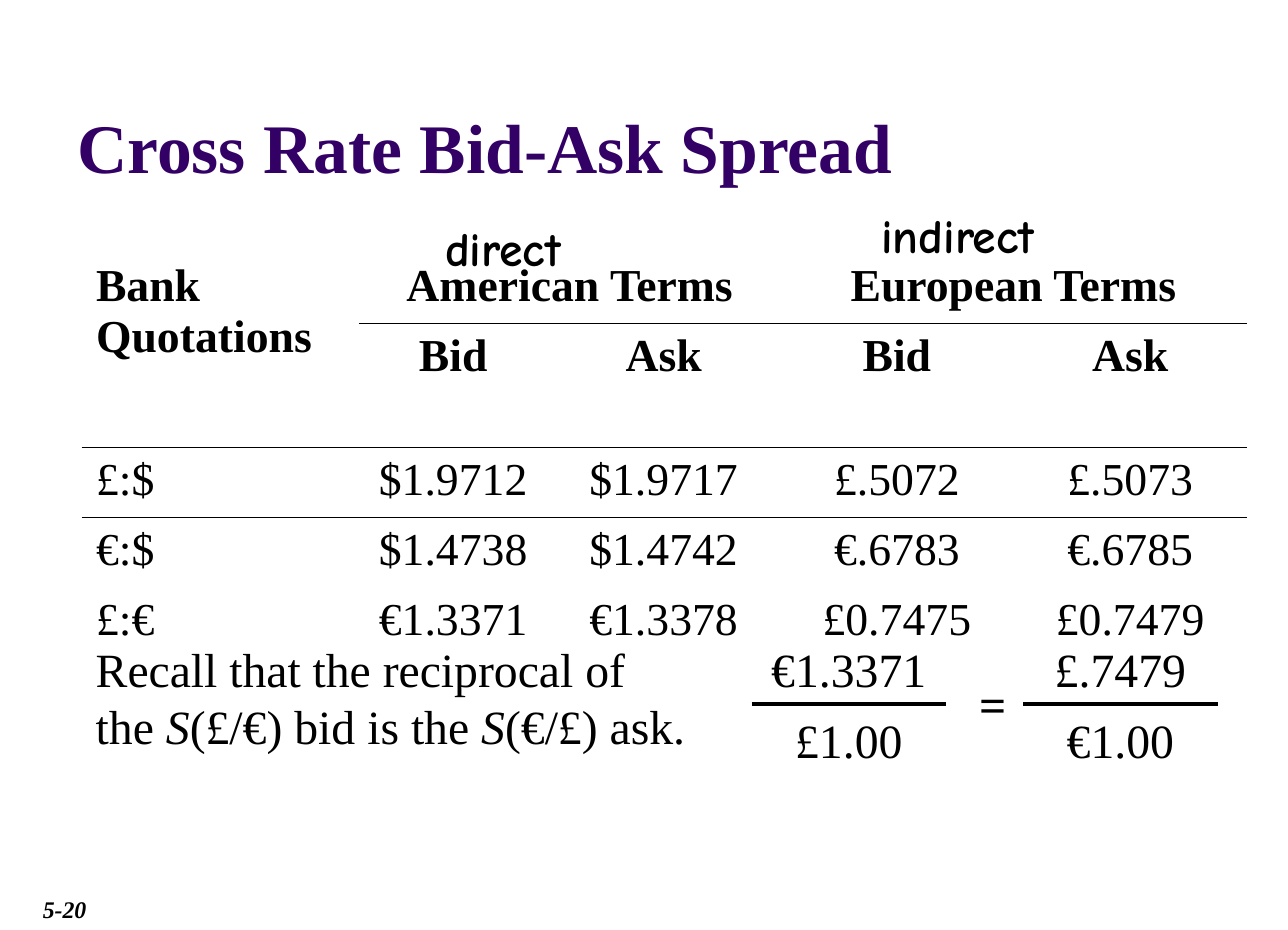
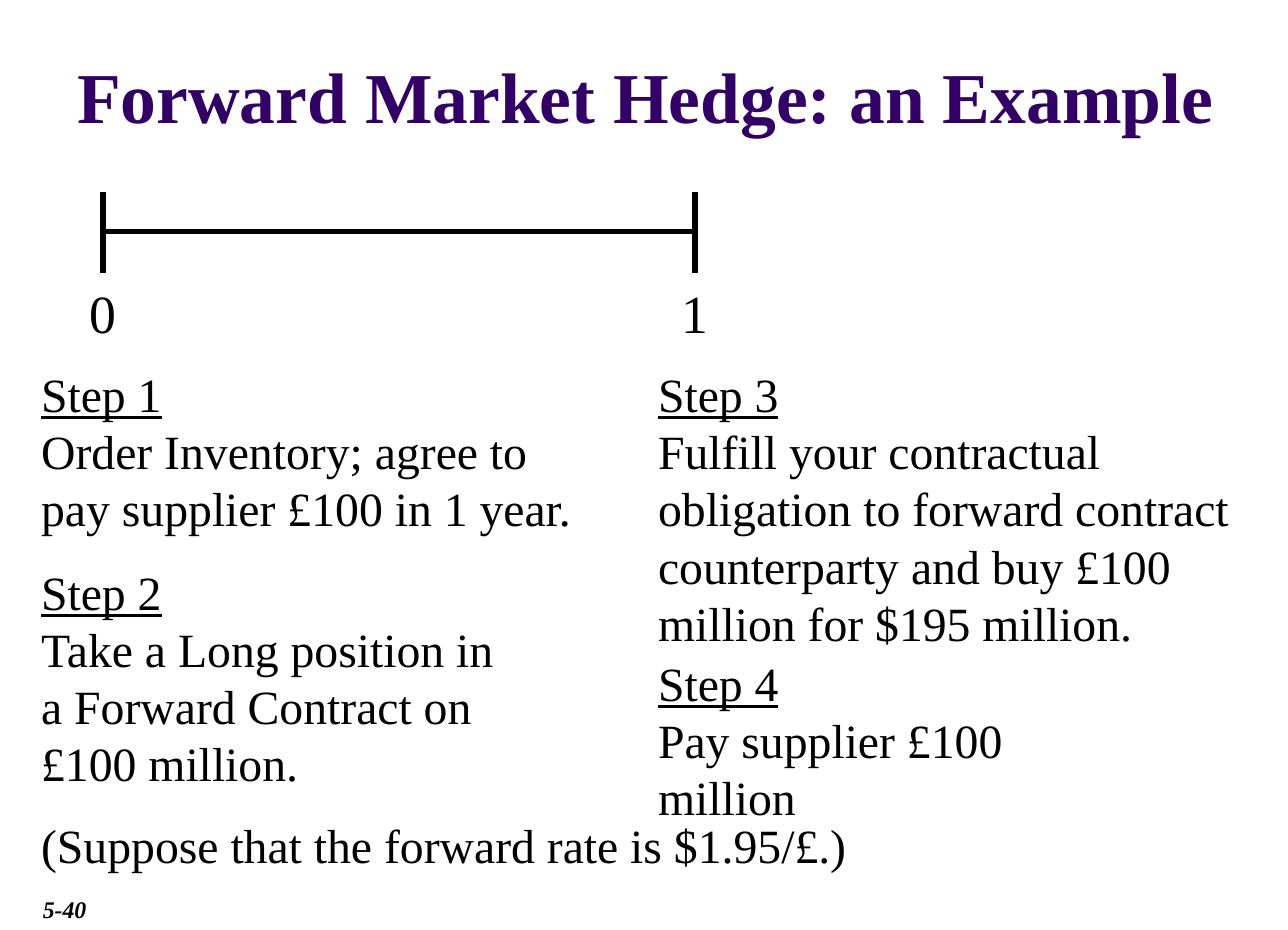
from lxml import etree
from pptx import Presentation
from pptx.dml.color import RGBColor
from pptx.enum.shapes import MSO_CONNECTOR as Connector
from pptx.enum.text import MSO_ANCHOR as Anchor, PP_ALIGN as Align
from pptx.oxml.ns import qn
from pptx.util import Cm, Pt

# Shared formats
BLACK = "000000"
BODY = {"name": "Times New Roman", "size": Pt(24), "bold": False}
TITLE = {**BODY, "bold": True}
TITLE_COLOR = "330066"
CELL = {**BODY, "size": Pt(23)}
NOTE = {"name": "Comic Neue", "size": Pt(24), "bold": True}
PAGE_NUMBER = {**BODY, "size": Pt(12), "bold": True, "italic": True}
NO_STYLE_TABLE = "{2D5ABB26-0587-4C30-8999-92F81FD0307C}"


def add_text(slide, box, paragraphs, font=BODY, color=BLACK, align=Align.LEFT, wrap=True):
    """Each paragraph is a list of (text, extra font values) runs."""
    shape = slide.shapes.add_textbox(*[Cm(length) for length in box])
    frame = shape.text_frame
    frame.word_wrap = wrap
    for index, runs in enumerate(paragraphs):
        paragraph = frame.add_paragraph() if index else frame.paragraphs[0]
        paragraph.alignment = align
        for text, extra in runs:
            run = paragraph.add_run()
            run.text = text
            run.font.color.rgb = RGBColor.from_string(color)
            for name, value in {**font, **extra}.items():
                setattr(run.font, name, value)
    return frame


def add_line(slide, start_x, start_y, end_x, end_y, width):
    line = slide.shapes.add_connector(
        Connector.STRAIGHT, Cm(start_x), Cm(start_y), Cm(end_x), Cm(end_y))
    line.line.color.rgb = RGBColor.from_string(BLACK)
    line.line.width = Pt(width)
    etree.SubElement(line._element.spPr, qn("a:effectLst"))


presentation = Presentation()
presentation.slide_width = Cm(22.86)
presentation.slide_height = Cm(16.51)

# Slides with their titles and page numbers
slides = []
for title, size, box, number in [
    ("Cross Rate Bid-Ask Spread", 35, (1.14, 0.3, 20.57, 3.13), "5-20"),
    ("Forward Market Hedge: an Example", 36, (1.14, 0.3, 21.23, 2.24), "5-40"),
]:
    slide = presentation.slides.add_slide(presentation.slide_layouts[6])
    frame = add_text(slide, box, [[(title, {"size": Pt(size)})]], TITLE, TITLE_COLOR)
    frame.vertical_anchor = Anchor.BOTTOM
    frame.margin_left = frame.margin_right = Cm(0.23)
    frame.margin_top = frame.margin_bottom = Cm(0.1)
    add_text(slide, (0.51, 15.75, 1.47, 0.76), [[(number, {})]], PAGE_NUMBER)
    slides.append(slide)
spread_slide, hedge_slide = slides

# Quotation table
quotations = [
    ["Bank Quotations", "American Terms", "", "European Terms", ""],
    ["", "Bid", "Ask", "Bid", "Ask"],
    ["£:$", "$1.9712", "$1.9717", "£.5072", "£.5073"],
    ["€:$", "$1.4738", "$1.4742", "€.6783", "€.6785"],
    ["£:€", "€1.3371", "€1.3378", "£0.7475", "£0.7479"],
]
column_widths = [4.93, 3.33, 4.14, 4.14, 4.14]
row_heights = [1.24, 2.21, 1.24, 1.24, 1.24]
table = spread_slide.shapes.add_table(
    len(row_heights), len(column_widths), Cm(1.45), Cm(4.5),
    Cm(sum(column_widths)), Cm(sum(row_heights))).table
table.first_row = table.horz_banding = False
table._tbl.tblPr.find(qn("a:tableStyleId")).text = NO_STYLE_TABLE
for column, width in zip(table.columns, column_widths):
    column.width = Cm(width)
for row, height in zip(table.rows, row_heights):
    row.height = Cm(height)
for first, last in [((0, 0), (1, 0)), ((0, 1), (0, 2)), ((0, 3), (0, 4))]:
    table.cell(*first).merge(table.cell(*last))

for row_index, row in enumerate(quotations):
    for column_index, text in enumerate(row):
        cell = table.cell(row_index, column_index)
        # Rules under the terms and under the whole header
        edges = []
        if row_index == 2 or (row_index == 1 and column_index):
            edges.append("a:lnT")
        if row_index == 1 or (row_index == 0 and column_index):
            edges.append("a:lnB")
        for edge in edges:
            border = etree.SubElement(cell._tc.get_or_add_tcPr(), qn(edge), w=str(Pt(0.45)))
            fill = etree.SubElement(border, qn("a:solidFill"))
            etree.SubElement(fill, qn("a:srgbClr"), val=BLACK)
        cell.fill.background()
        if not text:
            continue
        paragraph = cell.text_frame.paragraphs[0]
        paragraph.alignment = Align.CENTER if column_index else Align.LEFT
        run = paragraph.add_run()
        run.text = text
        run.font.color.rgb = RGBColor.from_string(BLACK)
        for name, value in {**CELL, "bold": row_index < 2}.items():
            setattr(run.font, name, value)

# Notes above the terms
for text, left, top in [("direct", 7.65, 3.76), ("indirect", 15.39, 3.53)]:
    add_text(spread_slide, (left, top, 4.09, 1.27), [[(text, {})]], NOTE)

# Reciprocal rule and its two fractions
italic = {"italic": True}
add_text(spread_slide, (1.45, 11.23, 11.05, 2.29), [[
    ("Recall that the reciprocal of the ", {}), ("S", italic),
    ("(£/€) bid is the ", {}), ("S", italic), ("(€/£) ask.", {})]])
bar_y, bar_width, overhang = 12.5, 3.45, 0.48
for left, numerator, denominator in [
    (13.34, "€1.3371", "£1.00"), (18.16, "£.7479", "€1.00"),
]:
    add_text(spread_slide, (left, bar_y - 1.27, bar_width, 1.27),
             [[(numerator, {})]], align=Align.CENTER)
    add_text(spread_slide, (left - overhang, bar_y, bar_width + 2 * overhang, 1.27),
             [[(denominator, {})]], align=Align.CENTER)
    add_line(spread_slide, left, bar_y, left + bar_width, bar_y, 2.25)
add_text(spread_slide, (16.81, 11.86, 1.3, 1.27), [[("=", {"bold": True})]], align=Align.RIGHT)

# Timeline
start_x, end_x = 1.83, 12.34
for label, tick_x in [("0", start_x), ("1", end_x)]:
    add_line(hedge_slide, tick_x, 3.4, tick_x, 4.85, 3)
    add_text(hedge_slide, (tick_x - 0.5, 4.85, 1, 1.4), [[(label, {"size": Pt(27)})]],
             align=Align.CENTER, wrap=False)
add_line(hedge_slide, start_x, 4.11, end_x, 4.11, 3)

# Steps in two columns
left_x, right_x = 0.48, 11.43
for step, text, box, wrap in [
    ("Step 1", "Order Inventory; agree to pay supplier £100 in 1 year.",
     (left_x, 6.35, 10.34, 3.3), True),
    ("Step 2", "Take a Long position in a Forward Contract on £100 million.",
     (left_x, 9.86, 9.07, 4.32), True),
    ("Step 3", "Fulfill your contractual obligation to forward contract "
     "counterparty and buy £100 million for $195 million.",
     (right_x, 6.35, 10.95, 5.33), True),
    ("Step 4", "Pay supplier £100 million", (right_x, 11.48, 9.27, 2.29), False),
]:
    add_text(hedge_slide, box, [[(step, {"underline": True})], [(text, {})]], wrap=wrap)
add_text(hedge_slide, (left_x, 14.35, 15.52, 1.27),
         [[("(Suppose that the forward rate is $1.95/£.)", {})]])

presentation.save("out.pptx")
